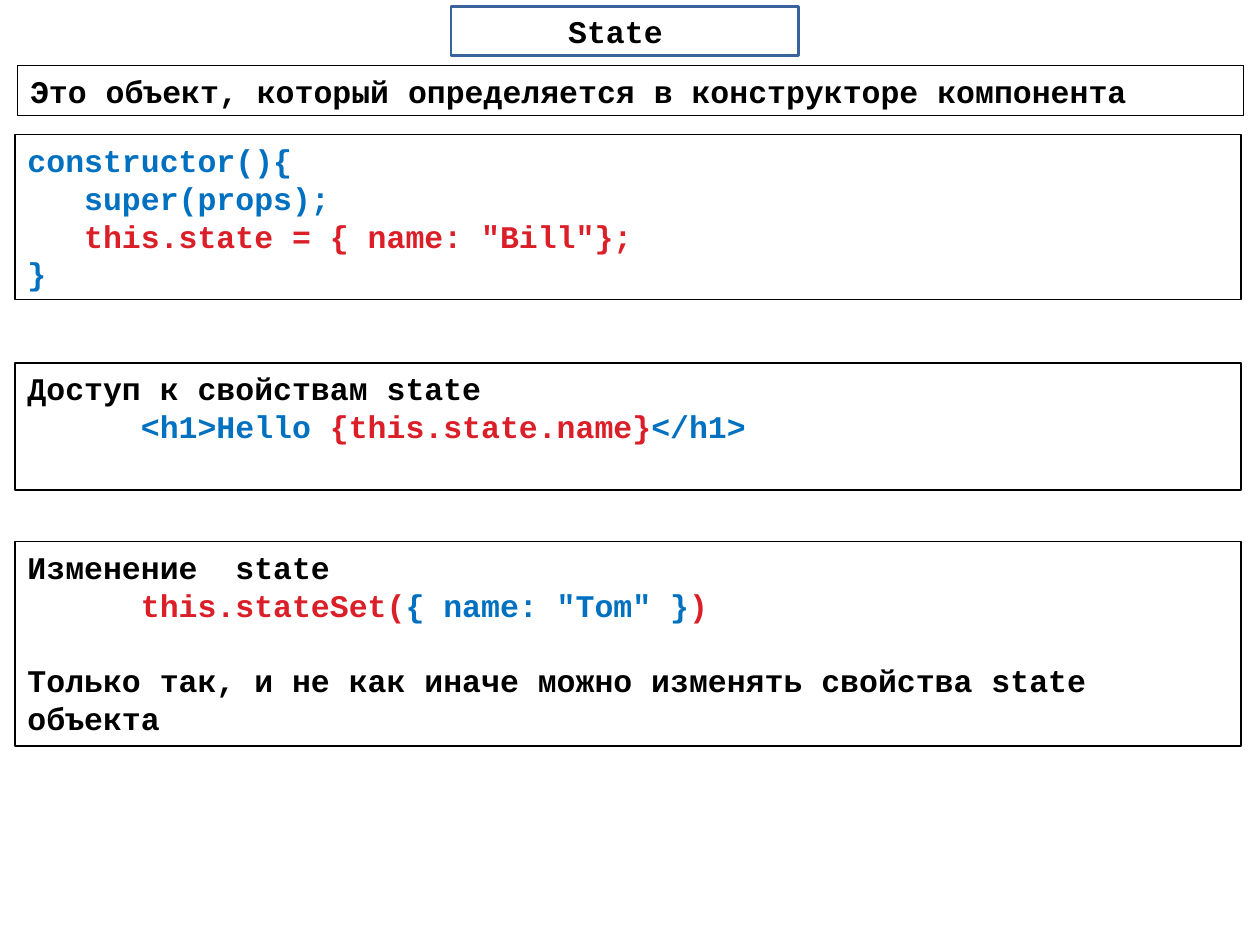
from pptx import Presentation
from pptx.dml.color import RGBColor
from pptx.enum.shapes import MSO_SHAPE
from pptx.enum.text import MSO_ANCHOR, PP_ALIGN
from pptx.util import Inches, Pt

COLORS = {
    "paper": "FFFFFF",
    "text": "000000",
    "code": "0070C0",
    "accent": "DA1F28",
    "title_border": "39639D",
}
FONT = "Courier New"
FONT_SIZE = 18
BLANK_LINE = 21.6
LEFT, WIDTH = 0.12, 9.73

INTRO = [[("Это объект, который определяется в конструкторе компонента", "text")]]
PANELS = [
    (1.07, 1.31, [
        [("constructor(){", "code")],
        [("   super(props);", "code")],
        [("   ", "code"), ('this.state = { name: "Bill"};', "accent")],
        [("}", "code")],
    ]),
    (2.88, 1.01, [
        [("Доступ к свойствам state", "text")],
        [("      <h1>Hello", "code"), (" {this.state.name}", "accent"), ("</h1>", "code")],
    ]),
    (4.3, 1.62, [
        [("Изменение  state", "text")],
        [("      this.stateSet(", "accent"), ('{ name: "Tom" }', "code"), (")", "accent")],
        [("Только так, и не как иначе можно изменять свойства state объекта", "text")],
    ]),
]


def color(name):
    return RGBColor.from_string(COLORS[name])


def add_box(slide, left, top, width, height, border="text", border_width=0.75):
    shape = slide.shapes.add_shape(
        MSO_SHAPE.RECTANGLE, Inches(left), Inches(top), Inches(width), Inches(height))
    shape.shadow.inherit = False
    shape.fill.solid()
    shape.fill.fore_color.rgb = color("paper")
    shape.line.color.rgb = color(border)
    shape.line.width = Pt(border_width)
    shape.text_frame.word_wrap = True
    shape.text_frame.vertical_anchor = MSO_ANCHOR.TOP
    return shape


def add_lines(shape, lines, align=PP_ALIGN.LEFT):
    frame = shape.text_frame
    for index, line in enumerate(lines):
        paragraph = frame.add_paragraph() if index else frame.paragraphs[0]
        paragraph.alignment = align
        for text, color_name in line:
            run = paragraph.add_run()
            run.text = text
            run.font.name = FONT
            run.font.size = Pt(FONT_SIZE)
            run.font.bold = True
            run.font.color.rgb = color(color_name)


def add_title(slide):
    shape = add_box(slide, 3.58, 0.05, 2.76, 0.39, "title_border", 1.5)
    shape.text_frame.vertical_anchor = MSO_ANCHOR.MIDDLE
    add_lines(shape, [[("State ", "text")]], PP_ALIGN.CENTER)


def main():
    presentation = Presentation()
    presentation.slide_width, presentation.slide_height = Inches(10), Inches(7.5)
    slide = presentation.slides.add_slide(presentation.slide_layouts[6])
    add_lines(add_box(slide, 0.14, 0.52, WIDTH, 0.4), INTRO)
    add_title(slide)
    for top, height, lines in PANELS:
        panel = add_box(slide, LEFT, top, WIDTH, height)
        add_lines(panel, lines)
    panel.text_frame.paragraphs[-1].space_before = Pt(BLANK_LINE)
    presentation.save("out.pptx")


if __name__ == "__main__":
    main()
